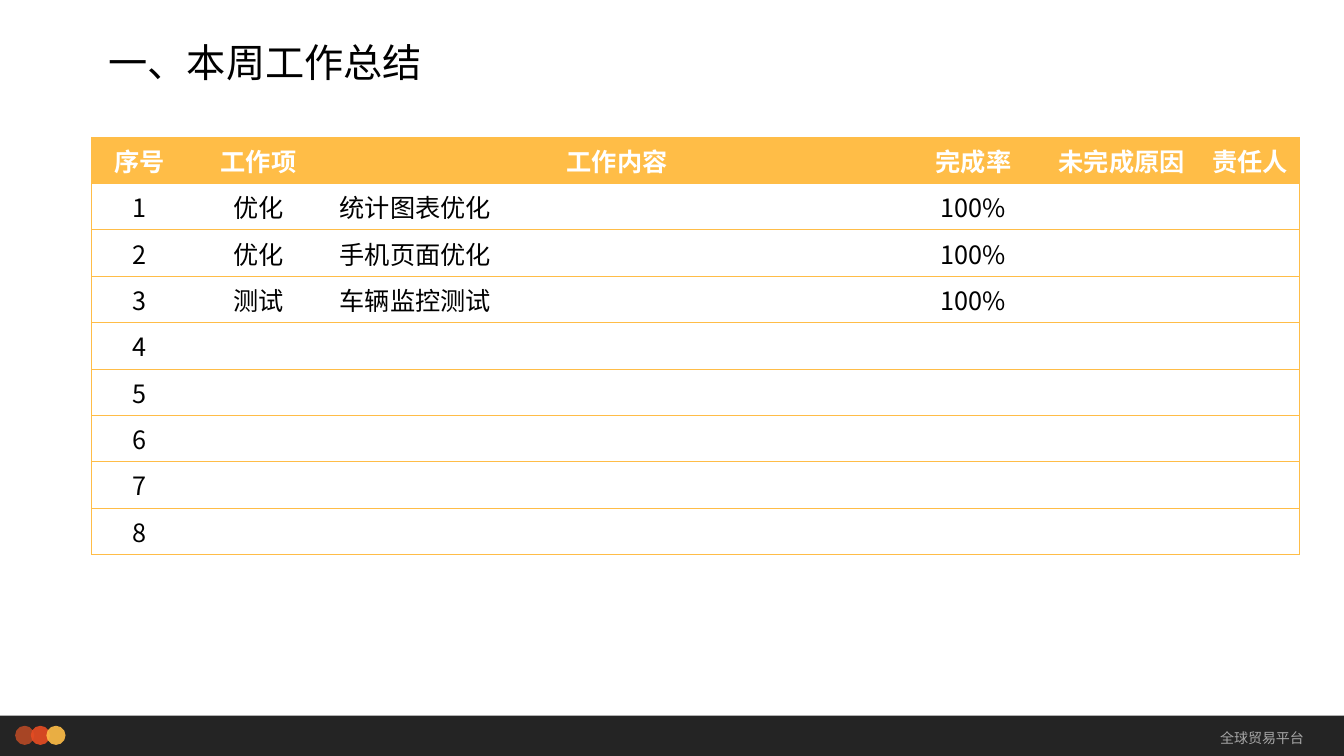
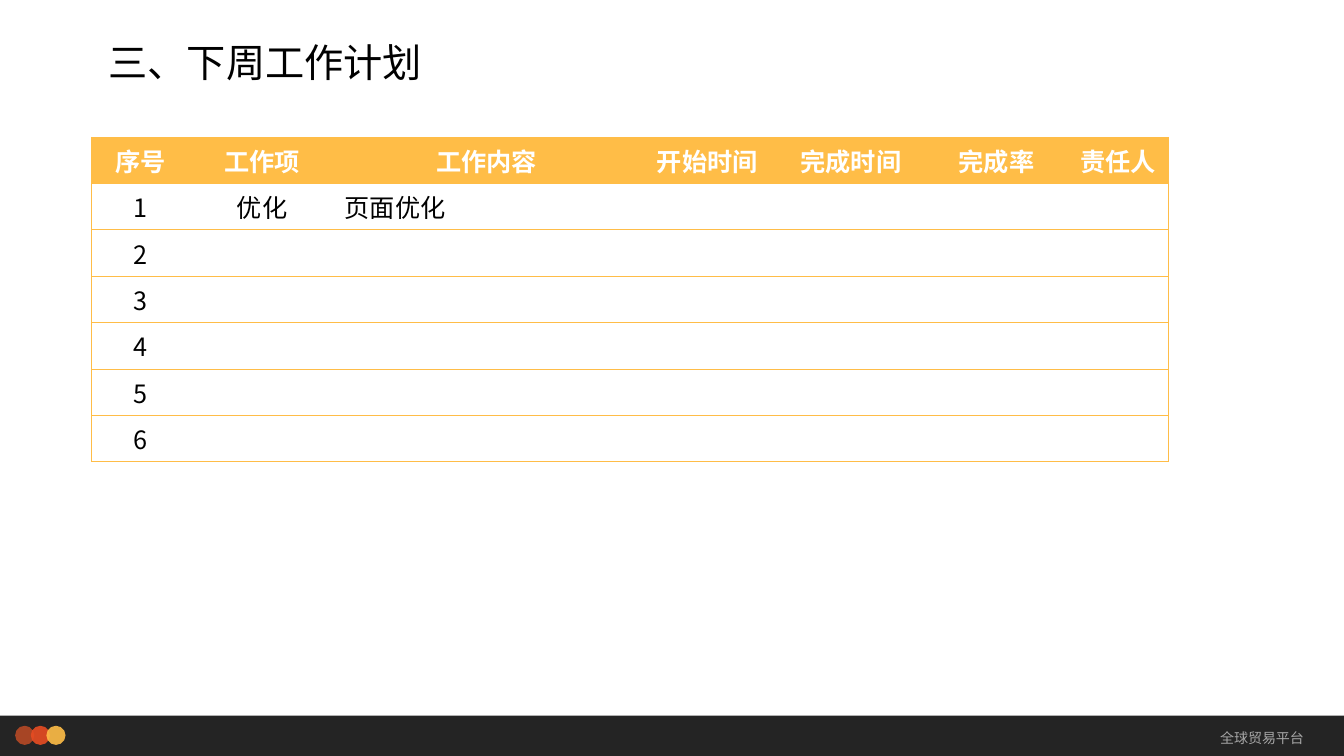
from dataclasses import dataclass
from itertools import zip_longest

from lxml import etree
from pptx import Presentation
from pptx.dml.color import RGBColor
from pptx.enum import shapes, text
from pptx.oxml import ns
from pptx.util import Inches, Pt

# Content
FOOTER = "全球贸易平台"
PAGES = [
    {
        "title": "一、本周工作总结",
        "columns": [("序号", 0.95), ("工作项", 1.41), ("工作内容", 5.7),
                    ("完成率", 1.37), ("未完成原因", 1.57), ("责任人", 0.98)],
        "tasks": [("优化", "统计图表优化", "100%"),
                  ("优化", "手机页面优化", "100%"),
                  ("测试", "车辆监控测试", "100%")],
        "task_rows": 8,
    },
    {
        "title": "三、下周工作计划",
        "columns": [("序号", 0.97), ("工作项", 1.44), ("工作内容", 3.01),
                    ("开始时间", 1.37), ("完成时间", 1.48), ("完成率", 1.41),
                    ("责任人", 1)],
        "tasks": [("优化", "页面优化")],
        "task_rows": 6,
    },
]
DESCRIPTION_COLUMN = 2


@dataclass(frozen=True)
class Theme:
    font: str = "Noto Sans CJK SC"
    ink: str = "000000"
    paper: str = "FFFFFF"
    accent: str = "FFBD47"
    band: str = "0D0D0D"
    footer: str = "A6A6A6"
    dots: tuple = ("B64926", "E84C22", "FFBD47")
    opacity: int = 90
    title_size: int = 28
    table_size: int = 18
    footer_size: int = 10
    border_width: float = 0.5


THEME = Theme()
PAGE_WIDTH, PAGE_HEIGHT = 13.33, 7.5
BAND_TOP, BAND_HEIGHT = 7.1, 0.4
DOT_LEFT, DOT_TOP, DOT_SIZE, DOT_STEP = 0.15, 7.2, 0.19, 0.155
TABLE_LEFT, TABLE_TOP, ROW_HEIGHT = 0.91, 1.36, 0.46
PLAIN_TABLE_STYLE = "{2D5ABB26-0587-4C30-8999-92F81FD0307C}"


# Shared helpers
def add_span(para, words, size, color, bold=False):
    span = para.add_run()
    span.text = words
    span.font.size = Pt(size)
    span.font.bold = bold
    span.font.color.rgb = RGBColor.from_string(color)
    span.font.name = THEME.font
    east_asian = etree.SubElement(span.font._element, ns.qn("a:ea"))
    east_asian.set("typeface", THEME.font)


def add_text(page, place, words, size, color, anchor, align, line_spacing=None):
    box = page.shapes.add_textbox(*map(Inches, place))
    frame = box.text_frame
    frame.word_wrap = True
    frame.vertical_anchor = anchor
    para = frame.paragraphs[0]
    para.alignment = align
    para.line_spacing = line_spacing
    add_span(para, words, size, color)


def add_translucent(page, kind, place, color):
    shape = page.shapes.add_shape(kind, *map(Inches, place))
    shape.shadow.inherit = False
    shape.line.fill.background()
    shape.fill.solid()
    shape.fill.fore_color.rgb = RGBColor.from_string(color)
    color_node = shape._element.spPr.find(".//" + ns.qn("a:srgbClr"))
    alpha = etree.SubElement(color_node, ns.qn("a:alpha"))
    alpha.set("val", str(THEME.opacity * 1000))


def set_borders(cell, sides):
    properties = cell._tc.get_or_add_tcPr()
    for index, side in enumerate(sides):
        line = etree.Element(ns.qn(f"a:ln{side}"), w=str(Pt(THEME.border_width)))
        fill = etree.SubElement(line, ns.qn("a:solidFill"))
        etree.SubElement(fill, ns.qn("a:srgbClr"), val=THEME.accent)
        properties.insert(index, line)


# Band, dots, footer and title
def add_frame(page, title):
    add_translucent(page, shapes.MSO_SHAPE.RECTANGLE,
                    (0, BAND_TOP, PAGE_WIDTH, BAND_HEIGHT), THEME.band)
    for index, color in enumerate(THEME.dots):
        left = DOT_LEFT + index * DOT_STEP
        add_translucent(page, shapes.MSO_SHAPE.OVAL,
                        (left, DOT_TOP, DOT_SIZE, DOT_SIZE), color)
    add_text(page, (10.77, BAND_TOP, 2.26, 0.44), FOOTER, THEME.footer_size,
             THEME.footer, text.MSO_ANCHOR.MIDDLE, text.PP_ALIGN.RIGHT)
    add_text(page, (0.98, 0.15, 10, 0.75), title, THEME.title_size,
             THEME.ink, text.MSO_ANCHOR.BOTTOM, text.PP_ALIGN.LEFT, 0.9)


# Task table
def fill_cell(cell, words, is_header, align):
    if is_header:
        cell.fill.solid()
        cell.fill.fore_color.rgb = RGBColor.from_string(THEME.accent)
    else:
        cell.fill.background()
    para = cell.text_frame.paragraphs[0]
    para.alignment = align
    para.font.size = Pt(THEME.table_size)
    if words:
        color = THEME.paper if is_header else THEME.ink
        add_span(para, words, THEME.table_size, color, is_header)


def add_task_table(page, columns, tasks, task_rows):
    headings, widths = zip(*columns)
    numbers = range(1, task_rows + 1)
    rows = [headings] + [(str(number), *(task or ()))
                         for number, task in zip_longest(numbers, tasks)]
    table = page.shapes.add_table(
        len(rows), len(widths), Inches(TABLE_LEFT), Inches(TABLE_TOP),
        Inches(sum(widths)), Inches(ROW_HEIGHT * len(rows))).table
    table.horz_banding = False
    table._tbl.tblPr.find(ns.qn("a:tableStyleId")).text = PLAIN_TABLE_STYLE
    for column, width in zip(table.columns, widths):
        column.width = Inches(width)
    for row_index, row in enumerate(rows):
        table.rows[row_index].height = Inches(ROW_HEIGHT)
        is_header = row_index == 0
        for column_index in range(len(widths)):
            cell = table.cell(row_index, column_index)
            words = row[column_index] if column_index < len(row) else ""
            is_description = column_index == DESCRIPTION_COLUMN and not is_header
            align = text.PP_ALIGN.LEFT if is_description else text.PP_ALIGN.CENTER
            fill_cell(cell, words, is_header, align)
            left = "L" if column_index == 0 else ""
            right = "R" if column_index == len(widths) - 1 else ""
            set_borders(cell, left + right + "TB")


# Build
deck = Presentation()
deck.slide_width, deck.slide_height = Inches(PAGE_WIDTH), Inches(PAGE_HEIGHT)
for content in PAGES:
    page = deck.slides.add_slide(deck.slide_layouts[6])
    add_frame(page, content["title"])
    add_task_table(page, content["columns"], content["tasks"], content["task_rows"])
deck.save("out.pptx")
